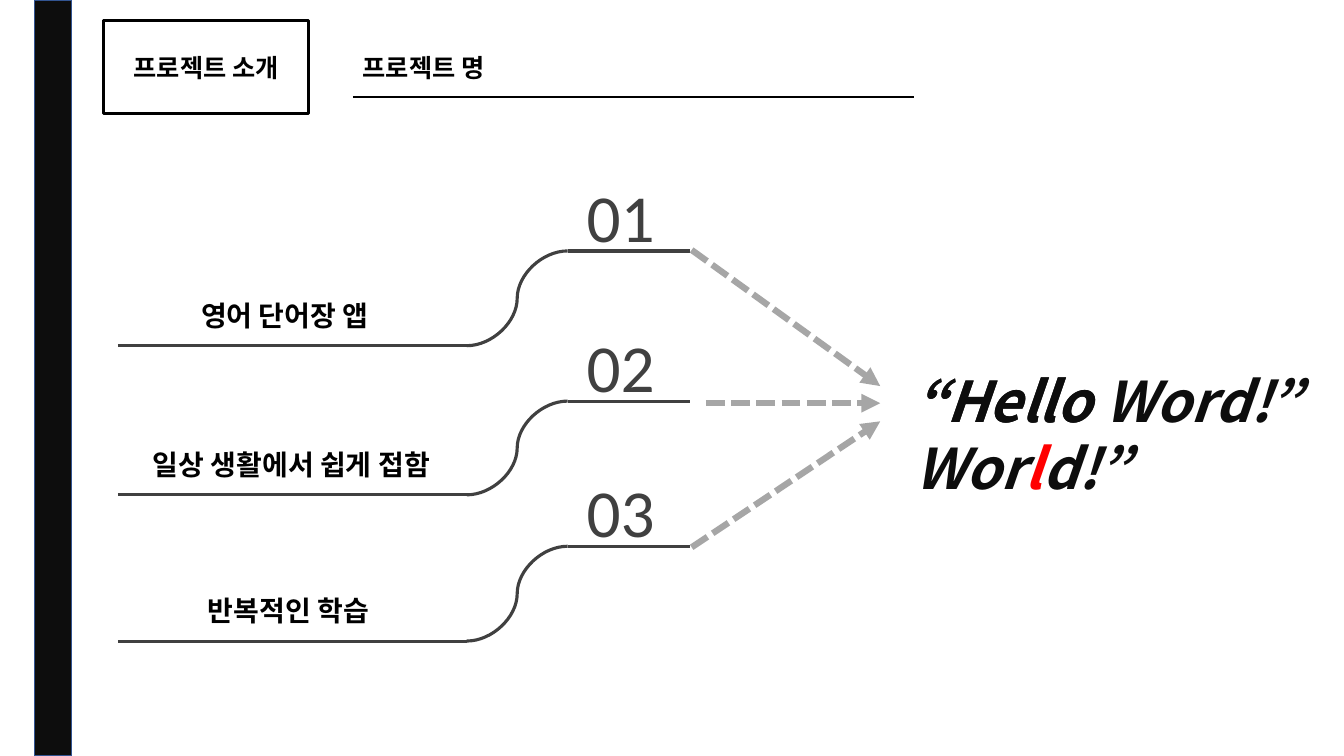
from dataclasses import dataclass

from lxml import etree
from pptx import Presentation
from pptx.dml.color import RGBColor
from pptx.enum.dml import MSO_LINE
from pptx.enum.shapes import MSO_CONNECTOR, MSO_SHAPE
from pptx.enum.text import MSO_ANCHOR, PP_ALIGN
from pptx.oxml.ns import qn
from pptx.util import Inches, Pt


@dataclass(frozen=True)
class Theme:
    black: str = "000000"
    ink: str = "0D0D0D"
    step: str = "404040"
    arrow: str = "A6A6A6"
    accent: str = "FF0000"
    bar_edge: str = "325491"
    body_font: str = "Noto Sans CJK KR"
    title_font: str = "Arial"
    number_font: str = "Calibri"
    heading_size: int = 18
    label_size: int = 20
    number_size: int = 48
    slogan_size: int = 40


THEME = Theme()

# Content
SECTION = "프로젝트 소개"
HEADING = "프로젝트 명"
# number, label, label left, label width, upper line, lower line
STEPS = [
    ("01", "영어 단어장 앱", 1.03, 3.59, 2.49, 3.43),
    ("02", "일상 생활에서 쉽게 접함", 0.99, 3.8, 3.98, 4.91),
    ("03", "반복적인 학습", 1.55, 2.62, 5.42, 6.36),
]
ARROWS = [((6.86, 2.48), (8.73, 3.83)), ((7, 4), (8.73, 4)), ((6.86, 5.43), (8.73, 4.18))]
SLOGANS = [
    [("“Hello Wor", THEME.ink), ("l", THEME.accent), ("d!”", THEME.ink)],
    [("“Hello Word!”", THEME.ink)],
]

# Layout
STEP_LEFT, CURVE_LEFT, CURVE_RIGHT, STEP_RIGHT = 1.17, 4.63, 5.63, 6.84
NUMBER_BOX = (5.7, 0.91, 0.91)
NUMBER_RISE, LABEL_RISE = 0.8, 0.52
SLOGAN_BOX = (8.97, 3.59, 4.11, 0.77)


def color(value):
    return RGBColor.from_string(value)


def write(shape, runs, size, font, align=PP_ALIGN.LEFT, bold=True, italic=False):
    frame = shape.text_frame
    frame.word_wrap = True
    paragraph = frame.paragraphs[0]
    paragraph.alignment = align
    paragraph.font.size = Pt(size)
    paragraph.font.bold = bold
    paragraph.font.italic = italic
    paragraph.font.name = font
    paragraph.font.color.rgb = color(runs[0][1])
    defaults = paragraph._p.pPr.find(qn("a:defRPr"))
    etree.SubElement(defaults, qn("a:ea")).set("typeface", THEME.body_font)
    for text, run_color in runs:
        run = paragraph.add_run()
        run.text = text
        if len(runs) > 1:
            run.font.color.rgb = color(run_color)


def add_text(slide, box, runs, size, font, **style):
    shape = slide.shapes.add_textbox(*map(Inches, box))
    write(shape, runs, size, font, **style)


def add_box(slide, box, line_color, line_width, fill=None):
    shape = slide.shapes.add_shape(MSO_SHAPE.RECTANGLE, *map(Inches, box))
    shape.shadow.inherit = False
    if fill:
        shape.fill.solid()
        shape.fill.fore_color.rgb = color(fill)
    else:
        shape.fill.background()
    shape.line.color.rgb = color(line_color)
    shape.line.width = Pt(line_width)
    return shape


def add_line(slide, start, end, line_color, width, kind=MSO_CONNECTOR.STRAIGHT):
    connector = slide.shapes.add_connector(kind, *map(Inches, (*start, *end)))
    connector.line.color.rgb = color(line_color)
    connector.line.width = Pt(width)
    etree.SubElement(connector._element.spPr, qn("a:effectLst"))
    return connector


def add_arrow(slide, start, end):
    connector = add_line(slide, start, end, THEME.arrow, 4.5)
    connector.line.dash_style = MSO_LINE.SQUARE_DOT
    line = connector.line._get_or_add_ln()
    etree.SubElement(line, qn("a:tailEnd")).set("type", "triangle")


def add_step(slide, number, label, left, width, upper, lower):
    add_text(slide, (left, lower - LABEL_RISE, width, 0.44), [(label, THEME.black)],
             THEME.label_size, THEME.body_font, align=PP_ALIGN.CENTER)
    number_left, number_width, number_height = NUMBER_BOX
    add_text(slide, (number_left, upper - NUMBER_RISE, number_width, number_height),
             [(number, THEME.step)], THEME.number_size, THEME.number_font,
             align=PP_ALIGN.CENTER, bold=False)
    curve_start, curve_end = (CURVE_LEFT, lower), (CURVE_RIGHT, upper)
    add_line(slide, curve_start, curve_end, THEME.step, 2.25, MSO_CONNECTOR.CURVE)
    add_line(slide, curve_end, (STEP_RIGHT, upper), THEME.step, 2.25)
    add_line(slide, (STEP_LEFT, lower), curve_start, THEME.step, 2.25)


def main():
    presentation = Presentation()
    presentation.slide_width = Inches(13.33)
    presentation.slide_height = Inches(7.5)
    slide = presentation.slides.add_slide(presentation.slide_layouts[6])

    # Side bar and header
    add_box(slide, (0.34, 0, 0.37, 7.5), THEME.bar_edge, 1, fill=THEME.ink)
    section = add_box(slide, (1.03, 0.2, 2.03, 0.93), THEME.black, 2)
    section.text_frame.vertical_anchor = MSO_ANCHOR.MIDDLE
    write(section, [(SECTION, THEME.black)], THEME.heading_size, THEME.title_font,
          align=PP_ALIGN.CENTER)
    add_text(slide, (3.5, 0.47, 4, 0.4), [(HEADING, THEME.black)],
             THEME.heading_size, THEME.body_font)
    add_line(slide, (3.5, 0.96), (9.07, 0.96), THEME.black, 1.25)

    # Steps and the arrows that lead to the slogan
    for step in STEPS:
        add_step(slide, *step)
    for start, end in ARROWS:
        add_arrow(slide, start, end)

    # Slogan, one wording laid over the other
    for runs in SLOGANS:
        add_text(slide, SLOGAN_BOX, runs, THEME.slogan_size, THEME.body_font, italic=True)

    presentation.save("out.pptx")


if __name__ == "__main__":
    main()
